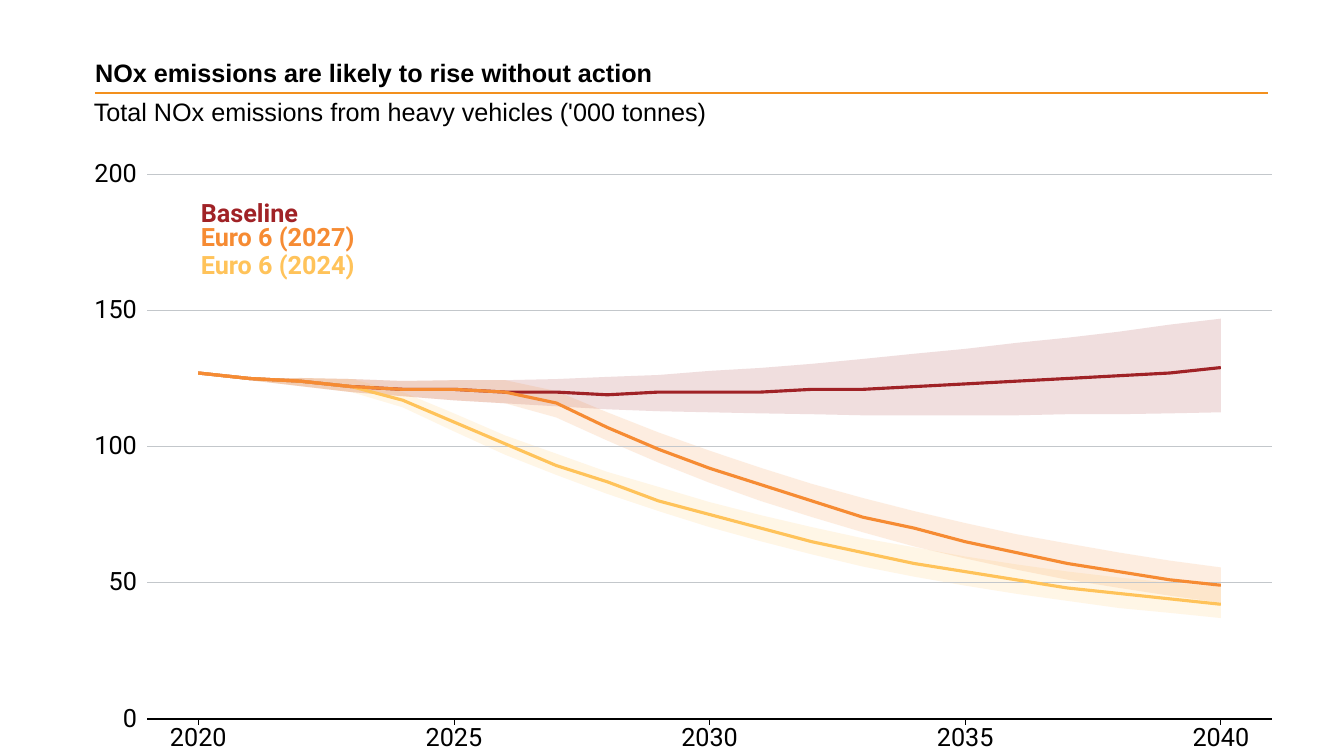
from lxml.etree import SubElement
from pptx import Presentation
from pptx.chart.data import CategoryChartData
from pptx.dml.color import RGBColor
from pptx.enum.chart import XL_CHART_TYPE as ChartType, XL_TICK_LABEL_POSITION as LabelPosition, XL_TICK_MARK as TickMark
from pptx.enum.shapes import MSO_CONNECTOR as Connector
from pptx.enum.text import MSO_ANCHOR as Anchor, PP_ALIGN as Align
from pptx.oxml import parse_xml
from pptx.oxml.ns import nsdecls, qn
from pptx.util import Pt

TITLE = "NOx emissions are likely to rise without action"
SUBTITLE = "Total NOx emissions from heavy vehicles ('000 tonnes)"
FIRST_YEAR, LAST_YEAR, YEAR_STEP = 2020, 2040, 5
AXIS_YEARS = range(FIRST_YEAR - 1, LAST_YEAR + 2)
AXIS_MAX = 200

MIDDLE = [127, 125, 124, 122, 121, 121, 120, 120, 119, 120, 120,
          120, 121, 121, 122, 123, 124, 125, 126, 127, 129]
HIGH = [126.7, 124.8, 125.2, 124.8, 124.1, 124.4, 124.4, 124.8, 125.6, 126.3, 127.8,
        128.9, 130.4, 132.2, 134.1, 135.9, 138.1, 140, 142.2, 144.8, 147]
LOW = [126.7, 124.4, 122.2, 120, 118.5, 117, 115.9, 114.8, 113.7, 113, 112.6,
       112.2, 111.9, 111.5, 111.5, 111.5, 111.5, 111.9, 111.9, 112.2, 112.6]

SCENARIOS = [
    {"name": "Baseline", "color": "A02226", "label_y": 153.5,
     "middle": MIDDLE, "high": HIGH, "low": LOW},
    {"name": "Euro 6 (2024)", "color": "FFC35A", "label_y": 190.5,
     "middle": MIDDLE[:4] + [117, 109, 101, 93, 87, 80, 75, 70, 65,
                             61, 57, 54, 51, 48, 46, 44, 42],
     "high": HIGH[:4] + [120, 112.2, 104.1, 97.4, 90.7, 85.2, 79.6, 74.8, 70.4,
                         66.3, 63, 59.6, 56.7, 54.1, 51.9, 50, 48.5],
     "low": LOW[:4] + [114.4, 105.6, 97, 89.6, 82.6, 76.3, 70.4, 65.2, 60.4,
                       55.9, 52.2, 48.9, 45.9, 43.3, 40.7, 38.9, 37]},
    {"name": "Euro 6 (2027)", "color": "F68B33", "label_y": 171,
     "middle": MIDDLE[:7] + [116, 107, 99, 92, 86, 80, 74, 70, 65,
                             61, 57, 54, 51, 49],
     "high": HIGH[:7] + [120.4, 112.6, 105.2, 98.5, 92.2, 86.3, 81.1, 76.3, 71.9,
                         67.8, 64.4, 61.1, 58.1, 55.6],
     "low": LOW[:7] + [110.7, 102.2, 94.1, 86.7, 80, 74.1, 68.5, 63.3, 58.9,
                       54.8, 51.1, 48.1, 45.2, 42.6]},
]

FRAME_LEFT, FRAME_TOP, FRAME_WIDTH, FRAME_HEIGHT = 60, 105, 860, 435
PLOT_LEFT, PLOT_TOP, PLOT_WIDTH, PLOT_HEIGHT = 105.1, 124.6, 803.5, 388.8
PLOT_BOTTOM = PLOT_TOP + PLOT_HEIGHT

deck = Presentation()
deck.slide_width, deck.slide_height = Pt(960), Pt(540)
page = deck.slides.add_slide(deck.slide_layouts[6])


def rgb(color):
    return RGBColor.from_string(color)


def year_x(year):
    return PLOT_LEFT + (year - AXIS_YEARS[0]) * PLOT_WIDTH / (len(AXIS_YEARS) - 1)


def value_y(value):
    return PLOT_BOTTOM - value * PLOT_HEIGHT / AXIS_MAX


def add_text(text, left, top, width, height, font="Roboto", color="000000",
             bold=False, align=Align.LEFT, anchor=Anchor.MIDDLE):
    box = page.shapes.add_textbox(Pt(left), Pt(top), Pt(width), Pt(height))
    frame = box.text_frame
    frame.word_wrap = True
    frame.vertical_anchor = anchor
    frame.margin_left = frame.margin_right = frame.margin_top = frame.margin_bottom = 0
    para = frame.paragraphs[0]
    para.alignment = align
    para.line_spacing = Pt(18)
    span = para.add_run()
    span.text = text
    span.font.name, span.font.size, span.font.bold = font, Pt(18), bold
    span.font.color.rgb = rgb(color)


def add_line(x1, y1, x2, y2, color, width):
    line = page.shapes.add_connector(Connector.STRAIGHT, Pt(x1), Pt(y1), Pt(x2), Pt(y2))
    line.line.color.rgb = rgb(color)
    line.line.width = Pt(width)
    SubElement(line._element.spPr, qn("a:effectLst"))


def add_band(high, low, color):
    years = range(FIRST_YEAR, LAST_YEAR + 1)
    edge = list(zip(years, high)) + list(zip(years, low))[::-1]
    points = [(Pt(year_x(year)), Pt(value_y(value))) for year, value in edge]
    builder = page.shapes.build_freeform(*points[0])
    builder.add_line_segments(points[1:], close=True)
    band = builder.convert_to_shape()
    band.shadow.inherit = False
    band.line.fill.background()
    band.fill.solid()
    band.fill.fore_color.rgb = rgb(color)
    tint = band._element.spPr.find(".//" + qn("a:srgbClr"))
    SubElement(tint, qn("a:alpha"), val="15000")


def clear_fill():
    return parse_xml(f'<c:spPr {nsdecls("c", "a")}><a:noFill/><a:ln><a:noFill/></a:ln></c:spPr>')


def place_plot(chart):
    plot_area = chart._chartSpace.chart.plotArea
    for layout in plot_area.findall(qn("c:layout")):
        plot_area.remove(layout)
    layout = parse_xml(f'<c:layout {nsdecls("c")}/>')
    manual = SubElement(layout, qn("c:manualLayout"))
    settings = [("layoutTarget", "inner"), ("xMode", "edge"), ("yMode", "edge"),
                ("x", (PLOT_LEFT - FRAME_LEFT) / FRAME_WIDTH),
                ("y", (PLOT_TOP - FRAME_TOP) / FRAME_HEIGHT),
                ("w", PLOT_WIDTH / FRAME_WIDTH), ("h", PLOT_HEIGHT / FRAME_HEIGHT)]
    for name, value in settings:
        SubElement(manual, qn("c:" + name), val=str(value))
    plot_area.insert(0, layout)
    plot_area.append(clear_fill())
    chart._chartSpace.chart.addnext(clear_fill())


def add_emissions_chart():
    data = CategoryChartData()
    data.categories = [str(year) for year in AXIS_YEARS]
    for scenario in SCENARIOS:
        data.add_series(scenario["name"], [None] + scenario["middle"] + [None])
    chart = page.shapes.add_chart(ChartType.LINE, Pt(FRAME_LEFT), Pt(FRAME_TOP),
                                  Pt(FRAME_WIDTH), Pt(FRAME_HEIGHT), data).chart
    chart.has_legend = chart.has_title = False
    chart.font.name, chart.font.size = "Roboto", Pt(18)
    chart.font.color.rgb = rgb("000000")
    for series, scenario in zip(chart.plots[0].series, SCENARIOS):
        series.smooth = False
        series.format.line.color.rgb = rgb(scenario["color"])
        series.format.line.width = Pt(2.25)

    values, years = chart.value_axis, chart.category_axis
    values.minimum_scale, values.maximum_scale, values.major_unit = 0, AXIS_MAX, 50
    values.tick_labels.number_format = "0_."
    values.tick_labels.number_format_is_linked = False
    values.major_tick_mark = years.major_tick_mark = TickMark.NONE
    values.format.line.fill.background()
    values.major_gridlines.format.line.color.rgb = rgb("C3C7CB")
    values.major_gridlines.format.line.width = Pt(0.37)
    years.tick_label_position = LabelPosition.NONE
    years.format.line.color.rgb = rgb("000000")
    years.format.line.width = Pt(1.5)
    axis = values._element
    for between in axis.findall(qn("c:crossBetween")):
        axis.remove(between)
    axis.find(qn("c:crosses")).addnext(
        parse_xml(f'<c:crossBetween {nsdecls("c")} val="midCat"/>'))
    place_plot(chart)


add_line(67.7, 66.5, 905.8, 66.5, "F3901D", 1.5)
add_text(TITLE, 68, 15, 711, 47.5, font="Arial", bold=True, anchor=Anchor.BOTTOM)
add_text(SUBTITLE, 67, 71.7, 839, 20, font="Arial")

for scenario in SCENARIOS:
    add_band(scenario["high"], scenario["low"], scenario["color"])
add_emissions_chart()
for scenario in SCENARIOS:
    add_text(scenario["name"], 143.5, scenario["label_y"] - 9, 130, 18,
             color=scenario["color"], bold=True)
for year in range(FIRST_YEAR, LAST_YEAR + 1, YEAR_STEP):
    x = year_x(year)
    add_line(x, PLOT_BOTTOM, x, PLOT_BOTTOM + 4.5, "000000", 0.56)
    add_text(str(year), x - 30, 519, 60, 18, align=Align.CENTER)

deck.save("out.pptx")
